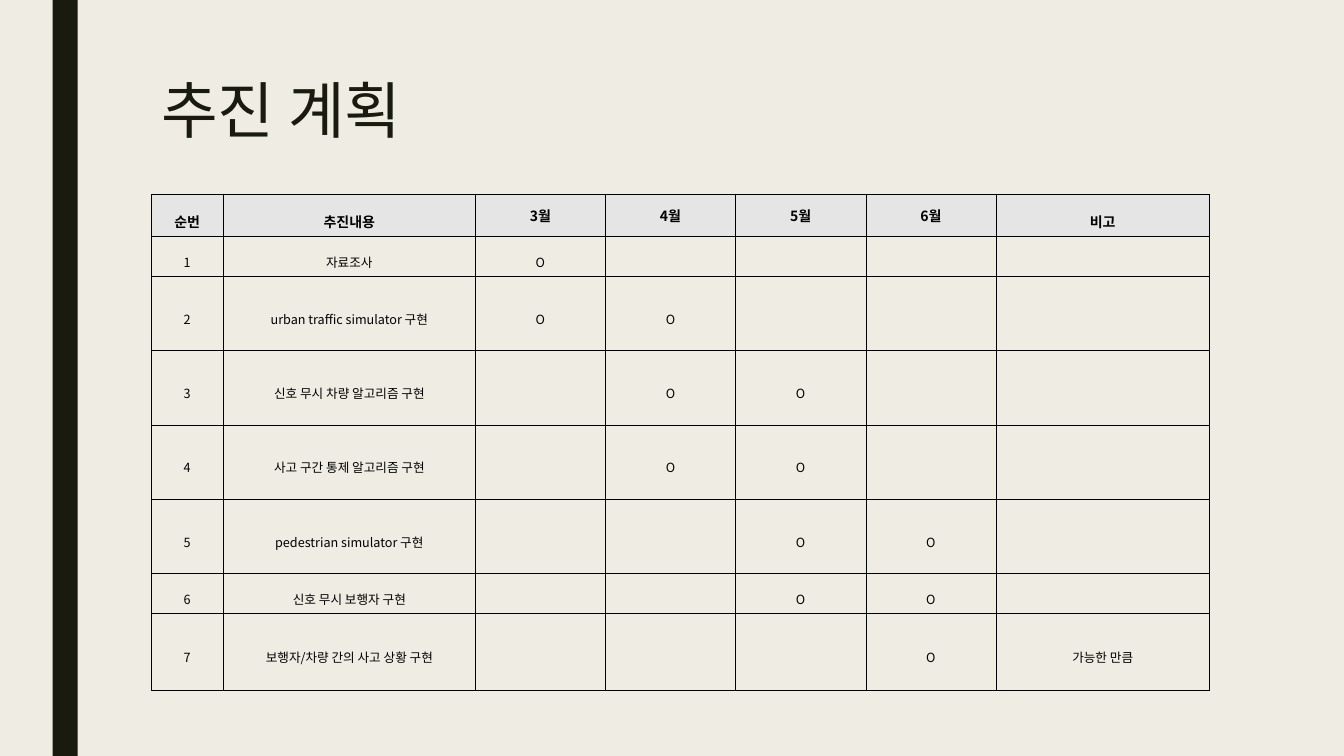
from lxml.etree import SubElement
from pptx import Presentation
from pptx.dml.color import RGBColor
from pptx.enum.shapes import MSO_SHAPE
from pptx.enum.text import MSO_ANCHOR, PP_ALIGN
from pptx.oxml.ns import qn
from pptx.util import Pt

COLORS = {"background": "EFEDE3", "dark": "191B0E", "header": "E5E5E5", "black": "000000"}
BODY_FONT = "Noto Sans CJK KR"
TITLE_FONT = "Open Sans"


def color(name):
    return RGBColor.from_string(COLORS[name])


def write_text(frame, text, size, font=BODY_FONT, fill="black", bold=False,
               align=PP_ALIGN.LEFT, spacing=None):
    paragraph = frame.paragraphs[0]
    paragraph.alignment = align
    if spacing:
        paragraph.line_spacing = spacing
    if not text:  # keeps an empty cell from growing its row
        SubElement(paragraph._p, qn("a:endParaRPr"), sz=str(size * 100))
        return
    run = paragraph.add_run()
    run.text = text
    run.font.size = Pt(size)
    run.font.name = font
    run.font.bold = bold
    run.font.color.rgb = color(fill)
    SubElement(run.font._element, qn("a:ea"), typeface=BODY_FONT)


class PlanSlide:
    def __init__(self, presentation):
        self.slide = presentation.slides.add_slide(presentation.slide_layouts[6])
        self.margin = Pt(3)
        self.border = Pt(0.28)
        background = self.slide.background.fill
        background.solid()
        background.fore_color.rgb = color("background")

    def bar(self, left, top, width, height, fill):
        shape = self.slide.shapes.add_shape(
            MSO_SHAPE.RECTANGLE, Pt(left), Pt(top), Pt(width), Pt(height))
        shape.shadow.inherit = False
        shape.fill.solid()
        shape.fill.fore_color.rgb = color(fill)
        shape.line.fill.background()

    def text(self, left, top, width, height, text, **style):
        frame = self.slide.shapes.add_textbox(
            Pt(left), Pt(top), Pt(width), Pt(height)).text_frame
        frame.word_wrap = True
        write_text(frame, text, **style)

    def table(self, left, top, widths, heights, rows):
        table = self.slide.shapes.add_table(
            len(heights), len(widths), Pt(left), Pt(top),
            Pt(sum(widths)), Pt(sum(heights))).table
        table.horz_banding = False
        for column, width in zip(table.columns, widths):
            column.width = Pt(width)
        for row, height in zip(table.rows, heights):
            row.height = Pt(height)
        for row_index, row in enumerate(rows):
            for column_index, text in enumerate(row):
                self.cell(table.cell(row_index, column_index), text, row_index == 0)

    def cell(self, cell, text, is_header):
        cell.margin_left = cell.margin_right = self.margin
        cell.margin_top = cell.margin_bottom = self.margin
        cell.vertical_anchor = MSO_ANCHOR.MIDDLE
        # Borders come before the fill in the cell properties
        properties = cell._tc.get_or_add_tcPr()
        for side in ("a:lnL", "a:lnR", "a:lnT", "a:lnB"):
            line = SubElement(properties, qn(side), w=str(int(self.border)))
            SubElement(SubElement(line, qn("a:solidFill")), qn("a:srgbClr"),
                       val=COLORS["black"])
        if is_header:
            cell.fill.solid()
            cell.fill.fore_color.rgb = color("header")
        else:
            cell.fill.background()
        is_month = is_header and text.endswith("월")
        write_text(cell.text_frame, text, size=10 if is_header else 9, bold=is_header,
                   align=PP_ALIGN.CENTER, spacing=None if is_month else 1.6)


presentation = Presentation()
presentation.slide_width, presentation.slide_height = Pt(960), Pt(540)
plan = PlanSlide(presentation)

# Side bar and title
plan.bar(37.5, 0, 18, 540, "dark")
plan.text(108, 54, 756, 116.64, "추진 계획", size=44, font=TITLE_FONT, fill="dark",
          spacing=0.89)

# Schedule: task, months in which it runs, remark
MONTHS = (3, 4, 5, 6)
TASKS = [
    ("자료조사", {3}, ""),
    ("urban traffic simulator 구현", {3, 4}, ""),
    ("신호 무시 차량 알고리즘 구현", {4, 5}, ""),
    ("사고 구간 통제 알고리즘 구현", {4, 5}, ""),
    ("pedestrian simulator 구현", {5, 6}, ""),
    ("신호 무시 보행자 구현", {5, 6}, ""),
    ("보행자/차량 간의 사고 상황 구현", {6}, "가능한 만큼"),
]
rows = [["순번", "추진내용", *(f"{month}월" for month in MONTHS), "비고"]]
for number, (task, active, remark) in enumerate(TASKS, 1):
    marks = ["O" if month in active else "" for month in MONTHS]
    rows.append([str(number), task, *marks, remark])

plan.table(108, 138.6, [51.5, 180] + [93] * 4 + [152.5],
           [30, 28.6] + [53.1] * 4 + [28.6, 55], rows)

presentation.save("out.pptx")
